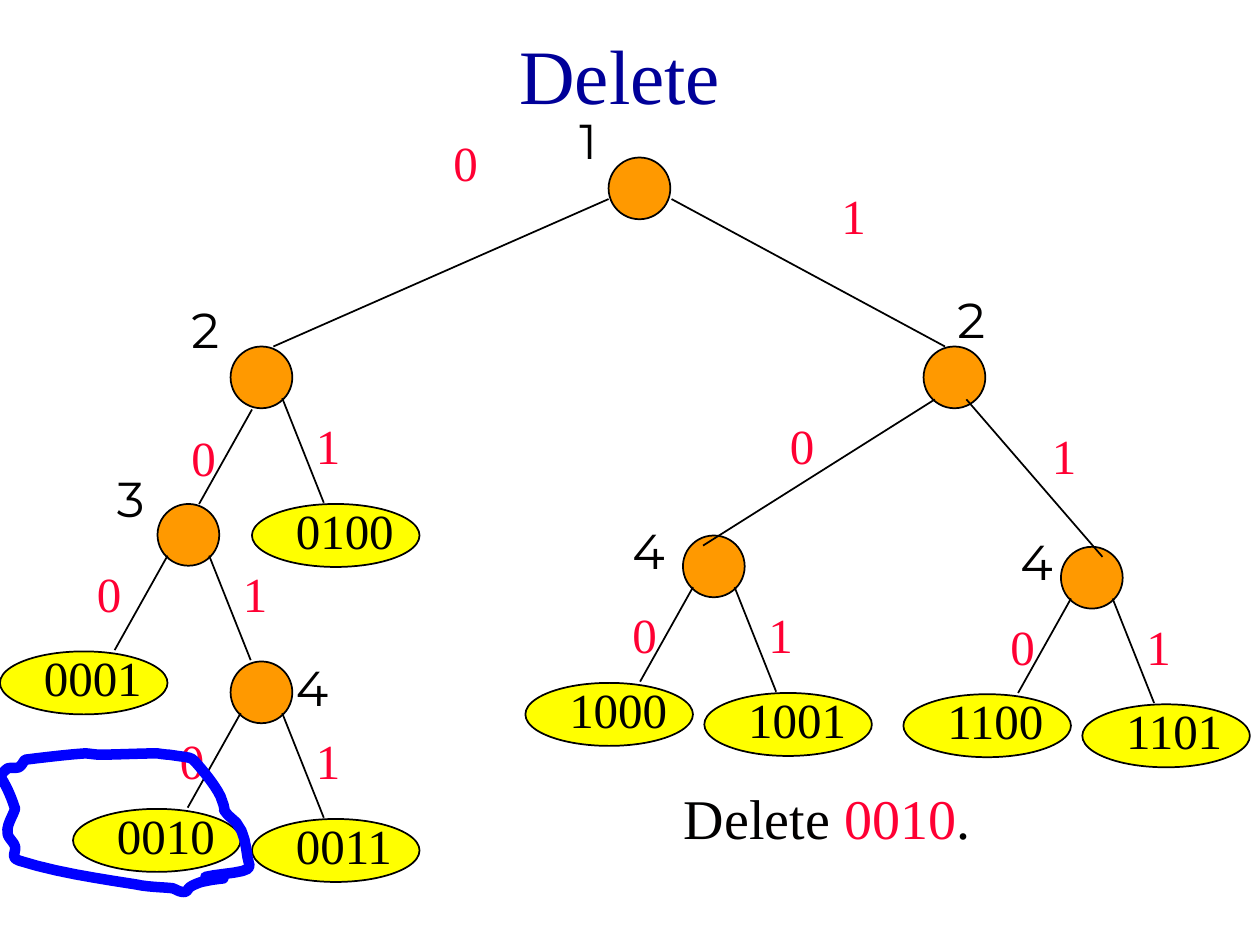
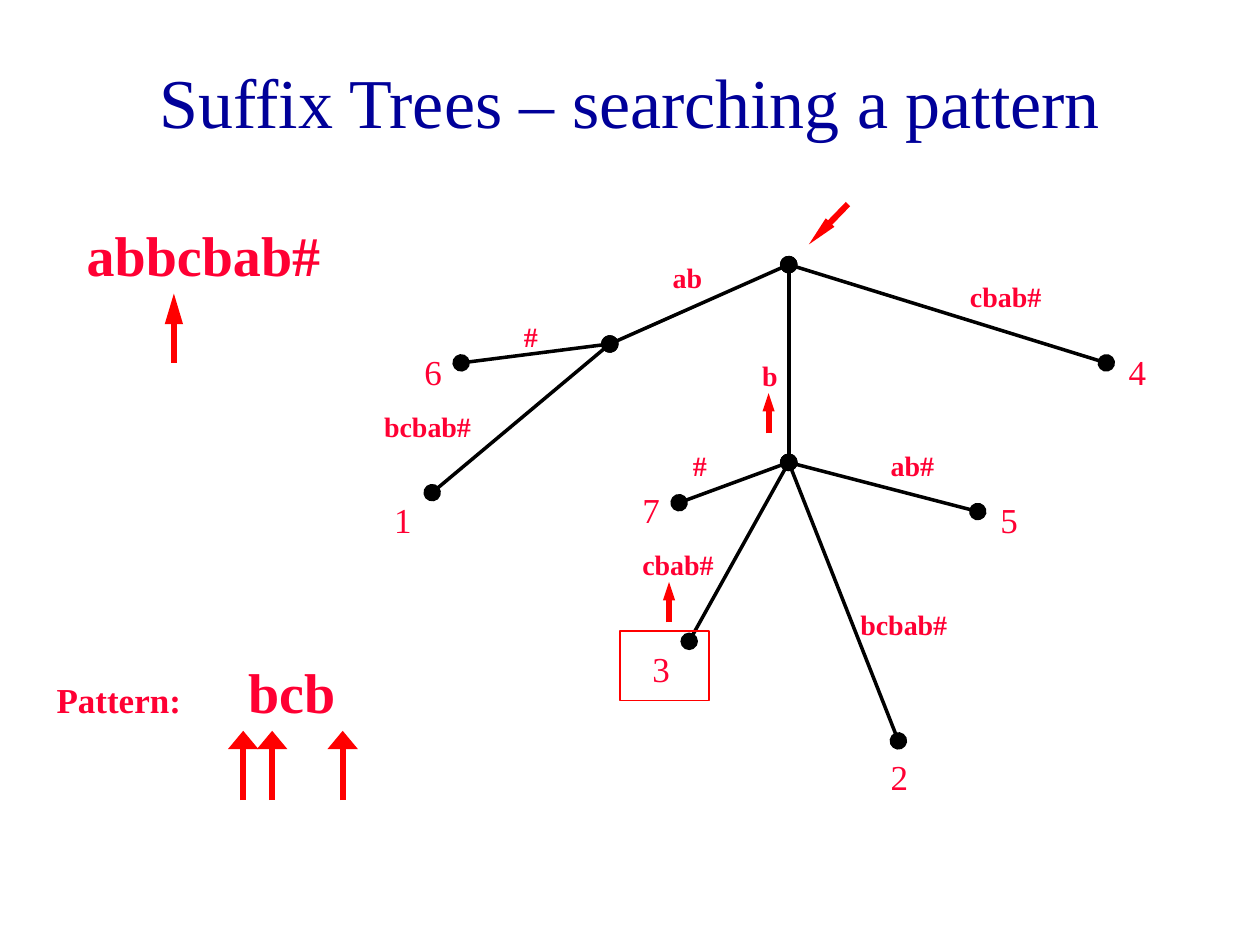
"""Build two slides on deleting from a binary trie and searching a suffix tree."""
from dataclasses import dataclass

import pptx
import pptx.dml.color
import pptx.enum.shapes
import pptx.enum.text
import pptx.oxml
import pptx.oxml.ns
import pptx.util
from lxml import etree

Inches = pptx.util.Inches
Pt = pptx.util.Pt
qn = pptx.oxml.ns.qn
Shape = pptx.enum.shapes.MSO_SHAPE
Align = pptx.enum.text.PP_ALIGN
Fit = pptx.enum.text.MSO_AUTO_SIZE


@dataclass(frozen=True)
class Theme:
    serif: str = "Times New Roman"
    sans: str = "Montserrat"
    navy: str = "000099"
    black: str = "000000"
    ink: str = "010000"
    rose: str = "FF0033"
    red: str = "FF0000"
    blue: str = "0000FF"
    gold: str = "FFFF00"
    amber: str = "FF9900"
    white: str = "FFFFFF"
    head: int = 44
    long_head: int = 40
    large: int = 32
    body: int = 28
    note: int = 20
    small: int = 16


def tint(name):
    return pptx.dml.color.RGBColor.from_string(name)


def write(frame, text, size, color, font, bold=False, align=Align.LEFT, tab=None):
    frame.word_wrap = True
    para = frame.paragraphs[0]
    para.alignment = align
    if tab:
        stops = etree.SubElement(para._p.get_or_add_pPr(), qn("a:tabLst"))
        etree.SubElement(stops, qn("a:tab"), pos=str(Inches(tab)), algn="l")
    runs = [(text, {})] if isinstance(text, str) else text
    for words, change in runs:
        run = para.add_run()
        run.text = words
        run.font.name = font
        run.font.bold = bold
        run.font.size = Pt(change.get("size", size))
        run.font.color.rgb = tint(change.get("color", color))


class Deck:
    def __init__(self, theme):
        self.theme = theme
        self.show = pptx.Presentation()
        self.show.slide_width = Inches(10)
        self.show.slide_height = Inches(7.5)
        self.slide = None

    def page(self, title, size, left, high):
        self.slide = self.show.slides.add_slide(self.show.slide_layouts[5])
        box = self.slide.shapes.title
        box.left, box.top = Inches(left), Inches(0.17)
        box.width, box.height = Inches(8.5), Inches(high)
        frame = box.text_frame
        frame.auto_size = Fit.NONE
        frame.vertical_anchor = pptx.enum.text.MSO_ANCHOR.MIDDLE
        write(frame, title, size, self.theme.navy, self.theme.serif, align=Align.CENTER)

    def text(self, text, x, y, wide, high, size, color, font=None, **style):
        box = self.slide.shapes.add_textbox(*map(Inches, (x, y, wide, high)))
        write(box.text_frame, text, size, color, font or self.theme.serif, **style)
        box.text_frame.auto_size = Fit.SHAPE_TO_FIT_TEXT
        return box

    def shape(self, kind, x, y, wide, high, fill=None, line=None):
        item = self.slide.shapes.add_shape(kind, *map(Inches, (x, y, wide, high)))
        self.paint(item, fill, line or self.theme.black, 1)

    def paint(self, item, fill, line, width):
        item.shadow.inherit = False
        if fill:
            item.fill.solid()
            item.fill.fore_color.rgb = tint(fill)
        else:
            item.fill.background()
        item.line.color.rgb = tint(line)
        item.line.width = Pt(width)

    def line(self, start, end, color=None, width=1, head=None, tail=None):
        kind = pptx.enum.shapes.MSO_CONNECTOR.STRAIGHT
        link = self.slide.shapes.add_connector(kind, *map(Inches, (*start, *end)))
        link.line.color.rgb = tint(color or self.theme.black)
        link.line.width = Pt(width)
        props = link._element.spPr
        for tag, mark in (("a:headEnd", head), ("a:tailEnd", tail)):
            if mark:
                form, wide, size = mark
                etree.SubElement(props.find(qn("a:ln")), qn(tag),
                                 type=form, w=wide, len=size)
        etree.SubElement(props, qn("a:effectLst"))

    def arrow(self, start, end, wide, size):
        self.line(start, end, self.theme.red, 3.5, tail=("triangle", wide, size))

    def loop(self, start, curves, steps=6):
        points, last = [], start
        for a, b, c in curves:
            for step in range(1, steps + 1):
                t = step / steps
                u = 1 - t
                points.append(tuple(
                    Inches(u**3 * p + 3 * u * u * t * q + 3 * u * t * t * r + t**3 * s)
                    for p, q, r, s in zip(last, a, b, c)))
            last = c
        pen = self.slide.shapes.build_freeform(*map(Inches, start))
        pen.add_line_segments(points, close=True)
        item = pen.convert_to_shape()
        self.paint(item, None, self.theme.blue, 6)
        etree.SubElement(item._element.spPr.find(qn("a:ln")), qn("a:round"))

    def node(self, x, y, level, dx, dy):
        self.shape(Shape.OVAL, x, y, 0.49, 0.49, self.theme.amber)
        self.text(level, x + dx, y + dy, 0.67, 0.57,
                  self.theme.body, self.theme.ink, self.theme.sans)

    def bit(self, digit, x, y):
        self.text(digit, x, y, 0.5, 0.57, self.theme.body, self.theme.rose)

    def leaf(self, key, x, y):
        self.shape(Shape.OVAL, x, y, 1.33, 0.5, self.theme.gold)
        self.text(key, x + 0.25, y - 0.08, 1.17, 0.57, self.theme.body, self.theme.black)

    def fork(self, x, y, low=None, high=None, zero=(-0.5, 0.5), one=(0.58, 0.5), slip=0):
        self.line((x + 0.08 + slip, y + 0.41 + slip), (x - 0.34 + slip, y + 1.16 + slip))
        self.line((x + 0.41, y + 0.41), (x + 0.74, y + 1.24))
        self.bit("0", x + zero[0], y + zero[1])
        self.bit("1", x + one[0], y + one[1])
        if low:
            self.leaf(low, x - 1.25, y + 1.17)
        if high:
            self.leaf(high, x + 0.17, y + 1.25)


def trie(deck):
    theme = deck.theme
    deck.page("Delete", theme.head, 0.67, 0.83)
    nodes = [
        (4.83, 1.25, "1", -0.33, -0.42), (1.83, 2.75, "2", -0.41, -0.42),
        (7.33, 2.75, "2", 0.17, -0.5), (1.25, 4, "3", -0.42, -0.33),
        (5.42, 4.25, "4", -0.5, -0.17), (8.42, 4.34, "4", -0.42, -0.17),
        (1.83, 5.25, "4", 0.42, -0.08),
    ]
    for node in nodes:
        deck.node(*node)
    for start, end in [((4.83, 1.58), (2.17, 2.75)), ((5.33, 1.58), (7.5, 2.75)),
                       ((7.42, 3.17), (5.58, 4.33)), ((7.67, 3.17), (8.75, 4.42))]:
        deck.line(start, end)
    for bit in [("0", 3.5, 1), ("1", 6.58, 1.42), ("0", 6.17, 3.25), ("1", 8.25, 3.33)]:
        deck.bit(*bit)
    deck.fork(1.83, 2.75, high="0100", zero=(-0.41, 0.59), slip=0.09)
    deck.fork(1.25, 4, low="0001", zero=(-0.58, 0.42), one=(0.58, 0.42))
    deck.fork(5.42, 4.25, "1000", "1001")
    deck.fork(8.42, 4.34, "1100", "1101")
    deck.fork(1.83, 5.25, "0010", "0011")
    task = [("Delete", {}), (" 0010", {"color": theme.rose}), (".", {"color": theme.black})]
    box = deck.text(task, 5.33, 6.17, 3.17, 0.63, theme.large, theme.ink)
    box.fill.solid()
    box.fill.fore_color.rgb = tint(theme.white)
    deck.loop((1.63, 6.96), [
        ((1.75, 6.93), (2, 6.93), (1.98, 6.87)),
        ((1.94, 6.74), (1.97, 6.58), (1.81, 6.47)),
        ((1.74, 6.38), (1.82, 6.5), (1.75, 6.32)),
        ((1.71, 6.24), (1.64, 6.15), (1.57, 6.07)),
        ((1.51, 6), (1.53, 6.02), (1.34, 5.99)),
        ((1.31, 5.99), (1.25, 5.98), (1.25, 5.98)),
        ((1.1, 5.98), (0.94, 5.99), (0.79, 5.99)),
        ((0.75, 5.99), (0.71, 5.98), (0.67, 5.98)),
        ((0.51, 5.99), (0.2, 6.03), (0.2, 6.03)),
        ((0.18, 6.05), (0.18, 6.07), (0.15, 6.09)),
        ((0.12, 6.1), (0.08, 6.09), (0.06, 6.1)),
        ((0.03, 6.12), (0.02, 6.14), (0, 6.16)),
        ((0.06, 6.25), (0.09, 6.33), (0.12, 6.42)),
        ((0.1, 6.48), (0.05, 6.55), (0.06, 6.61)),
        ((0.06, 6.65), (0.11, 6.68), (0.12, 6.72)),
        ((0.13, 6.76), (0.08, 6.81), (0.15, 6.83)),
        ((0.43, 6.92), (0.76, 6.97), (1.08, 7.02)),
        ((1.17, 7.04), (1.27, 7.04), (1.37, 7.05)),
        ((1.4, 7.06), (1.42, 7.08), (1.46, 7.08)),
        ((1.49, 7.08), (1.49, 7.05), (1.51, 7.04)),
        ((1.54, 7.02), (1.57, 7.01), (1.6, 7)),
        ((1.76, 6.96), (1.89, 6.98), (1.63, 6.96)),
    ])


def suffix(deck):
    theme = deck.theme
    deck.page("Suffix Trees – searching a pattern", theme.long_head, 0.75, 1.25)
    deck.text("abbcbab#", 0.59, 1.7, 2.6, 0.63, theme.large, theme.rose, bold=True)
    root, left, mid = (6.26, 2.1), (4.84, 2.73), (6.26, 3.67)
    tree = {
        root: [left, mid, (8.78, 2.88)],
        left: [(3.43, 3.91), (3.66, 2.88)],
        mid: [(5.39, 3.99), (5.47, 5.09), (7.13, 5.88), (7.76, 4.06)],
    }
    dot = ("oval", "lg", "lg")
    for start, ends in tree.items():
        for end in ends:
            deck.line(start, end, width=2, head=dot, tail=dot)
    for label, x, y in [("ab", 5.24, 2.02), ("#", 4.06, 2.49), ("bcbab#", 2.95, 3.2),
                        ("b", 5.95, 2.8), ("#", 5.4, 3.51), ("cbab#", 5, 4.3),
                        ("bcbab#", 6.73, 4.77), ("ab#", 6.97, 3.51),
                        ("cbab#", 7.6, 2.17)]:
        deck.text(label, x, y, 1.2, 0.37, theme.small, theme.rose, bold=True)
    for label, x, y in [("6", 3.27, 2.73), ("1", 3.03, 3.91), ("7", 5, 3.83),
                        ("3", 5.08, 5.09), ("2", 6.97, 5.95), ("5", 7.84, 3.91),
                        ("4", 8.86, 2.73)]:
        deck.text(label, x, y, 0.39, 0.4, theme.note, theme.rose)
    deck.text([("Pattern:\t", {}), ("bcb", {"size": theme.large})],
              0.35, 5.17, 2.99, 0.63, theme.note, theme.rose, bold=True, tab=1.52)
    for x in (1.93, 2.16, 2.72):
        deck.arrow((x, 6.35), (x, 5.8), "lg", "med")
    deck.arrow((6.73, 1.62), (6.42, 1.94), "sm", "lg")
    for x, y in ((6.1, 3.12), (5.31, 4.62)):
        deck.arrow((x, y + 0.32), (x, y), "sm", "med")
    deck.shape(Shape.RECTANGLE, 4.92, 5.01, 0.71, 0.55, line=theme.red)
    deck.arrow((1.38, 2.88), (1.38, 2.33), "med", "lg")


def main():
    deck = Deck(Theme())
    trie(deck)
    suffix(deck)
    deck.show.save("out.pptx")


if __name__ == "__main__":
    main()
